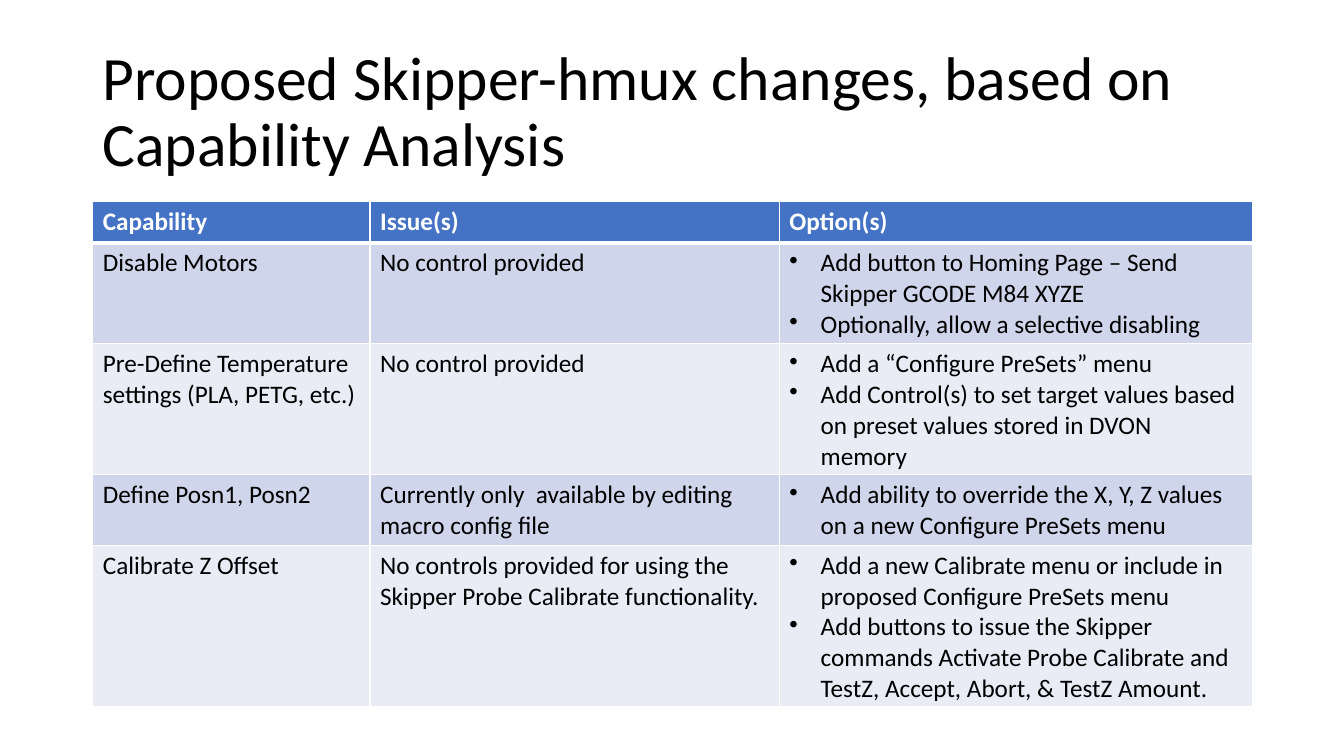
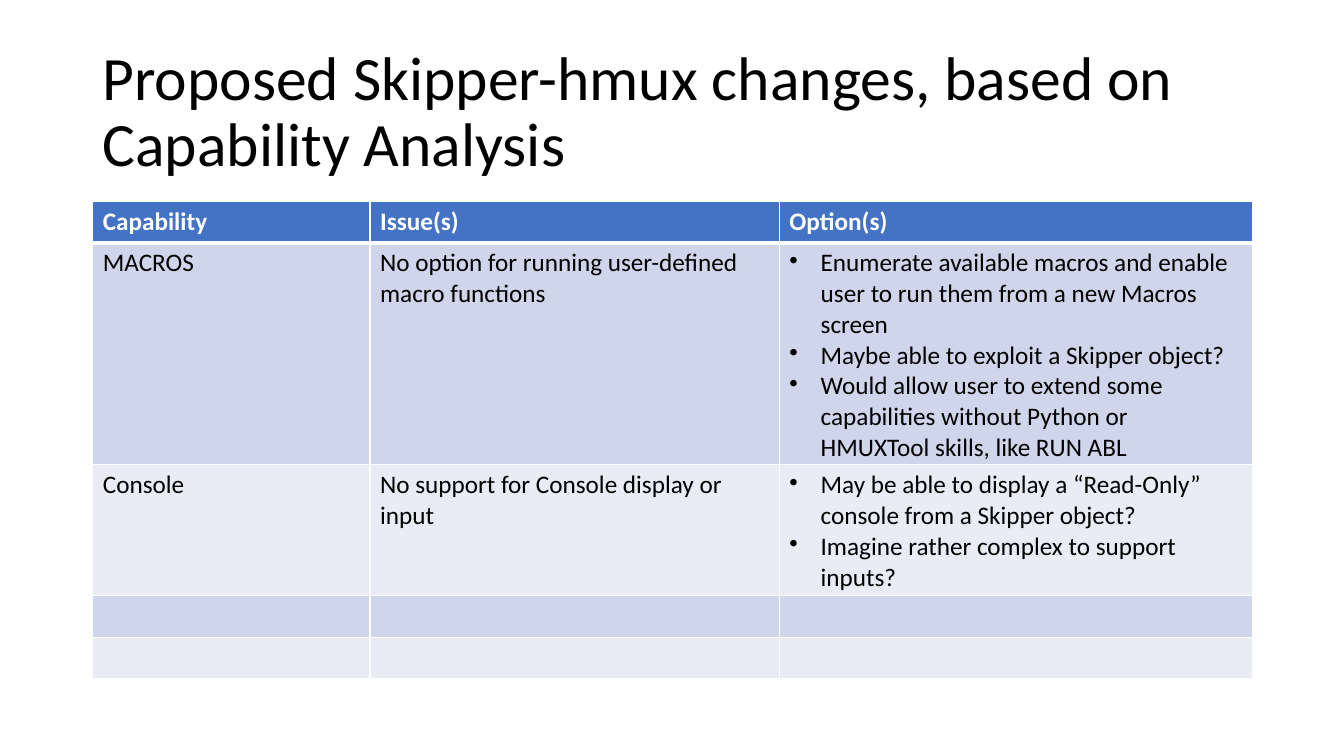
import pptx
import pptx.util
import pptx.dml.color
import pptx.enum.text
import pptx.oxml
import pptx.oxml.ns
from pptx.util import Inches

RGB = pptx.dml.color.RGBColor.from_string
THEME = {
    "font": "Calibri",
    "title size": pptx.util.Pt(44),
    "body size": pptx.util.Pt(18),
    "text": RGB("000000"),
    "header text": RGB("FFFFFF"),
    "header": RGB("4472C4"),
    "bands": [RGB("CFD5EA"), RGB("E9EBF5")],
    "border": "FFFFFF",
}

# Content: each row is capability, issue, list of options
TITLE = "Proposed Skipper-hmux changes, based on Capability Analysis"
HEADINGS = ["Capability", "Issue(s)", "Option(s)"]
SLIDES = [
    [
        ("Disable Motors", "No control provided",
         ["Add button to Homing Page – Send Skipper GCODE M84 XYZE",
          "Optionally, allow a selective disabling"]),
        ("Pre-Define Temperature settings (PLA, PETG, etc.)", "No control provided",
         ["Add a “Configure PreSets” menu",
          "Add Control(s) to set target values based on preset values stored in DVON memory"]),
        ("Define Posn1, Posn2", "Currently only  available by editing macro config file",
         ["Add ability to override the X, Y, Z values on a new Configure PreSets menu"]),
        ("Calibrate Z Offset",
         "No controls provided for using the Skipper Probe Calibrate functionality.",
         ["Add a new Calibrate menu or include in  proposed Configure PreSets menu",
          "Add buttons to issue the Skipper commands Activate Probe Calibrate and "
          "TestZ, Accept, Abort, & TestZ Amount."]),
    ],
    [
        ("MACROS", "No option for running user-defined macro functions",
         ["Enumerate available macros and enable user to run them from a new Macros screen",
          "Maybe able to exploit a Skipper object?",
          "Would allow user to extend some capabilities without Python or HMUXTool "
          "skills, like RUN ABL"]),
        ("Console", "No support for Console display or input",
         ["May be able to display a “Read-Only” console from a Skipper object?",
          "Imagine rather complex to support inputs?"]),
        ("", "", []),
        ("", "", []),
    ],
]
LEFT, WIDTH = Inches(0.92), Inches(11.5)
COLUMN_WIDTHS = [2.75, 4.06, 4.69]
ROW_HEIGHT = Inches(0.41)
INDENT = Inches(0.31)


def style(paragraph, size, color, bold=False):
    font = paragraph.font
    font.name, font.size, font.bold = THEME["font"], size, bold
    font.color.rgb = color


def add_borders(cell, row):
    """White rules, heavier between the header and the body."""
    widths = {"L": 1, "R": 1, "T": 3 if row == 1 else 1, "B": 3 if row == 0 else 1}
    for side, points in widths.items():
        cell._tc.get_or_add_tcPr().append(pptx.oxml.parse_xml(
            f'<a:ln{side} {pptx.oxml.ns.nsdecls("a")} w="{pptx.util.Pt(points)}">'
            f'<a:solidFill><a:srgbClr val="{THEME["border"]}"/></a:solidFill></a:ln{side}>'))


deck = pptx.Presentation()
deck.slide_width, deck.slide_height = Inches(13.33), Inches(7.5)

for capabilities in SLIDES:
    slide = deck.slides.add_slide(deck.slide_layouts[6])

    # Title
    title = slide.shapes.add_textbox(LEFT, Inches(0.4), WIDTH, Inches(1.45)).text_frame
    title.word_wrap = True
    title.vertical_anchor = pptx.enum.text.MSO_ANCHOR.MIDDLE
    title.text = TITLE
    title.paragraphs[0].line_spacing = 0.9
    style(title.paragraphs[0], THEME["title size"], THEME["text"])

    # Capability table
    rows = [HEADINGS, *capabilities]
    table = slide.shapes.add_table(len(rows), len(HEADINGS), LEFT, Inches(2),
                                   WIDTH, ROW_HEIGHT * len(rows)).table
    for column, width in zip(table.columns, COLUMN_WIDTHS):
        column.width = Inches(width)

    for r, row in enumerate(rows):
        is_header = r == 0
        for c, content in enumerate(row):
            cell = table.cell(r, c)
            add_borders(cell, r)
            cell.fill.solid()
            cell.fill.fore_color.rgb = THEME["header"] if is_header else THEME["bands"][(r - 1) % 2]

            is_list = isinstance(content, list)
            cell.text = "\n".join(content) if is_list else content
            for paragraph in cell.text_frame.paragraphs:
                style(paragraph, THEME["body size"],
                      THEME["header text" if is_header else "text"], is_header)
                if is_list and content:
                    properties = paragraph._p.get_or_add_pPr()
                    properties.set("marL", str(INDENT))
                    properties.set("indent", str(-INDENT))
                    properties.insert(0, pptx.oxml.parse_xml(
                        f'<a:buChar {pptx.oxml.ns.nsdecls("a")} char="•"/>'))

deck.save("out.pptx")
